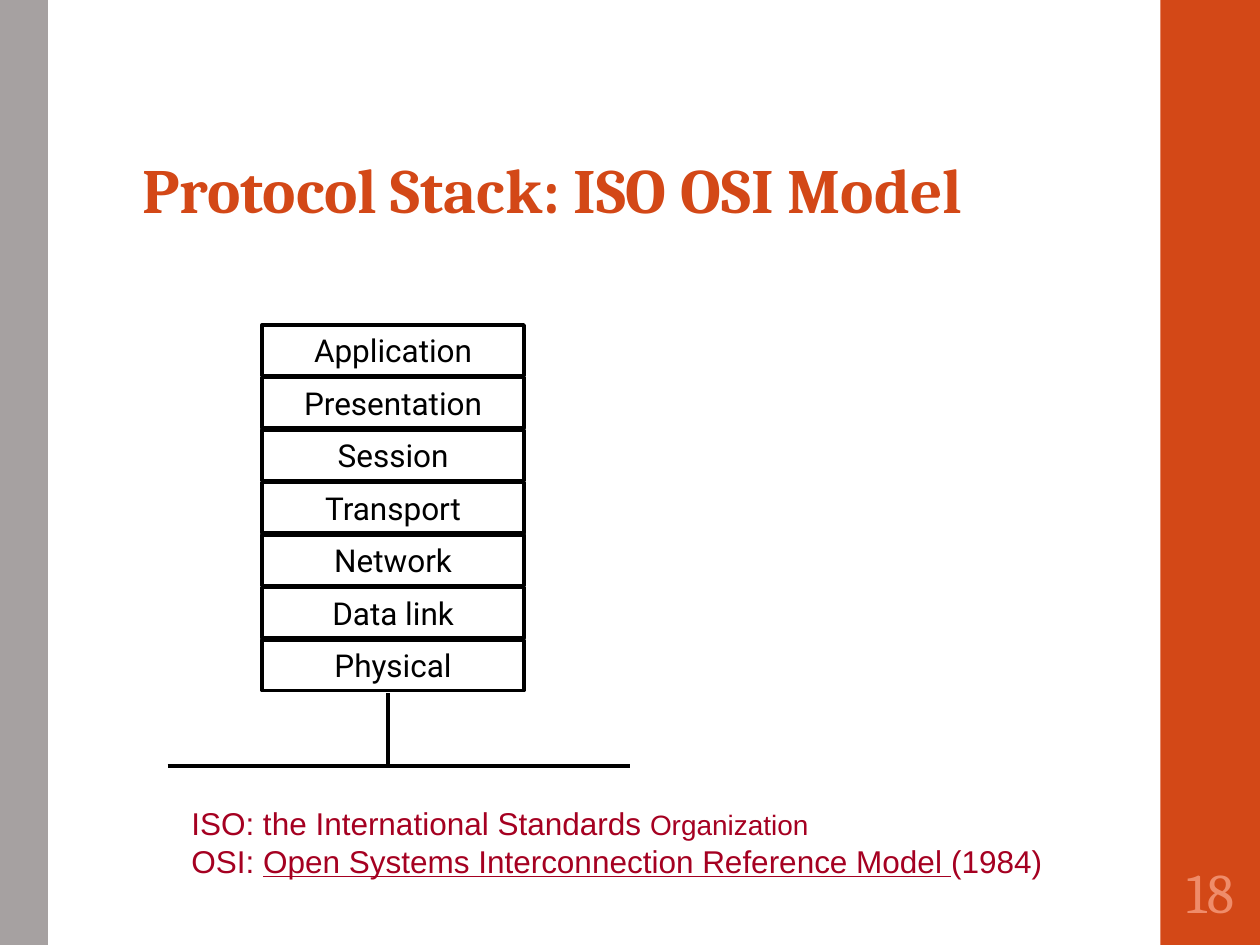
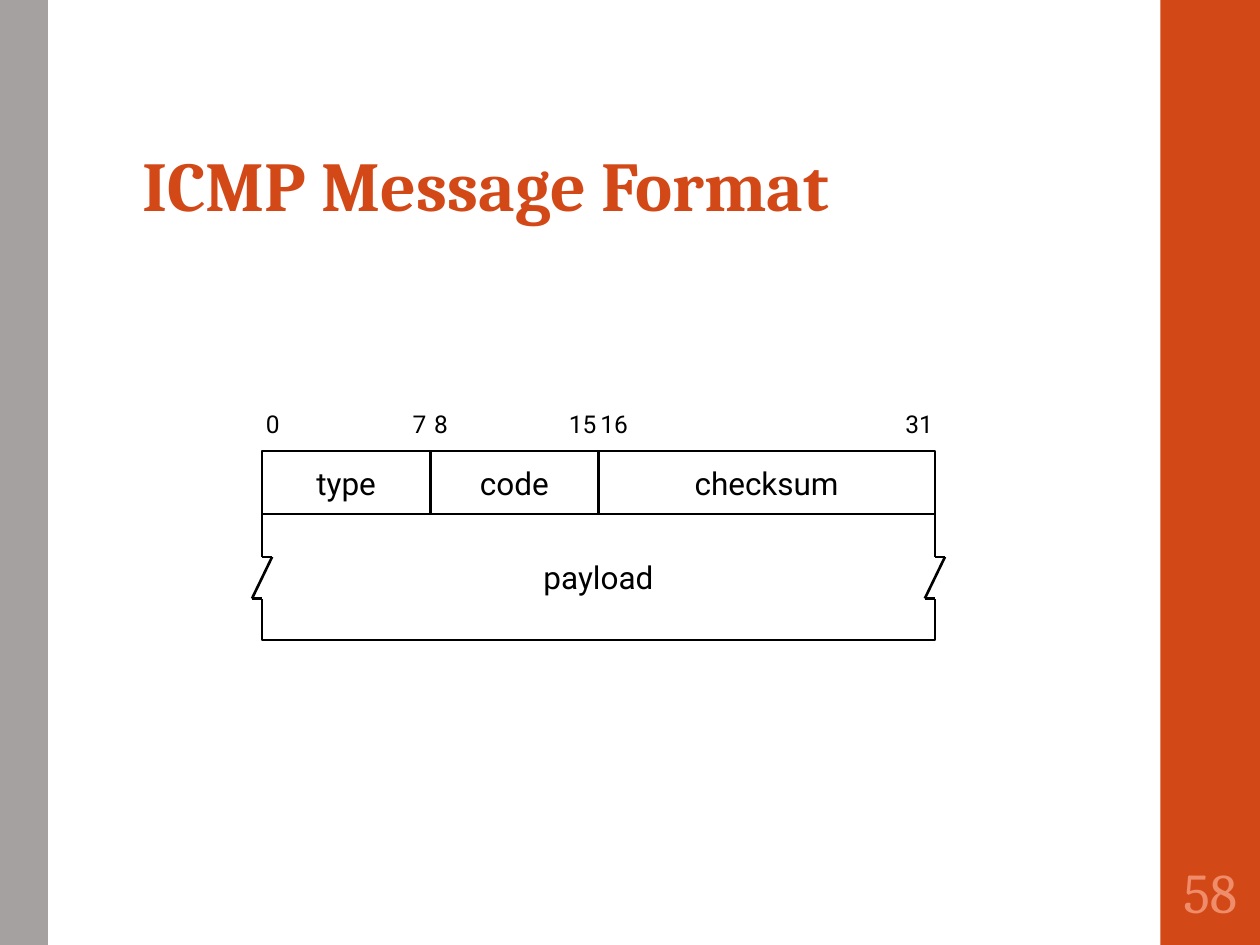
import pptx
import pptx.util
import pptx.dml.color
import pptx.enum.shapes
import pptx.enum.text
import pptx.oxml

Inches = pptx.util.Inches
Pt = pptx.util.Pt
ALIGN = pptx.enum.text.PP_ALIGN
ANCHOR = pptx.enum.text.MSO_ANCHOR
RECT = pptx.enum.shapes.MSO_SHAPE.RECTANGLE
STRAIGHT = pptx.enum.shapes.MSO_CONNECTOR.STRAIGHT

ORANGE, GRAY, BLACK, WHITE = "D34817", "A6A1A1", "000000", "FFFFFF"
DARK_RED, PALE_ORANGE = "A50021", "EF8C6A"

BANDS = [((9.21, 0, 0.8, 7.5), ORANGE), ((0, 0, 0.38, 7.5), GRAY)]
TITLE_FONT = {"name": "Cambria", "bold": True, "color": ORANGE}
NUMBER_FONT = {"name": "Cambria", "size": Pt(32), "color": PALE_ORANGE}
LABEL_FONT = {"name": "Roboto", "size": Pt(18), "color": BLACK}
BIT_FONT = {"name": "Roboto", "size": Pt(14), "color": BLACK}
NOTE_FONT = {"name": "Arial", "size": Pt(18), "color": DARK_RED}

LAYERS = ["Application", "Presentation", "Session", "Transport",
          "Network", "Data link", "Physical"]
STACK_LEFT, STACK_TOP, LAYER_W, LAYER_H, LAYER_PITCH = 2.08, 2.58, 2.08, 0.4, 5 / 12
CABLES = [((3.08, 5.5), (3.08, 6.08)), ((1.33, 6.08), (5, 6.08))]
NOTES = [
    [("ISO: the International Standards ", {}), ("Organization", {"size": Pt(16)})],
    [("OSI: ", {}),
     ("Open Systems Interconnection Reference Model ", {"underline": True}),
     ("(1984)", {})],
]

FIELDS = [("type", 0, 7), ("code", 8, 15), ("checksum", 16, 31)]
HEADER_LEFT, HEADER_TOP, HEADER_W, HEADER_H = 2.08, 3.58, 5.34, 0.5
PAYLOAD_H, BITS_TOP, BITS_H = 1, 3.25, 0.23
BREAK_TOP, BREAK_BOTTOM, BREAK_OUT = 4.42, 4.75, 0.08


def rgb(value):
    return pptx.dml.color.RGBColor.from_string(value)


def set_font(font, formats):
    for key, value in formats.items():
        if key == "color":
            font.color.rgb = rgb(value)
        else:
            setattr(font, key, value)


def write(sp, paragraphs, font, align=ALIGN.LEFT, anchor=ANCHOR.TOP,
          inset=(0.1, 0.05), wrap=True, spacing=None):
    tf = sp.text_frame
    x, y = map(Inches, inset)
    frame = {"margin_left": x, "margin_right": x, "margin_top": y,
             "margin_bottom": y, "vertical_anchor": anchor, "word_wrap": wrap}
    for key, value in frame.items():
        setattr(tf, key, value)
    for i, runs in enumerate(paragraphs):
        p = tf.add_paragraph() if i else tf.paragraphs[0]
        p.alignment = align
        if spacing:
            p.line_spacing = spacing
        for text, extra in runs:
            r = p.add_run()
            r.text = text
            set_font(r.font, {**font, **extra})


def add_text(s, box, text, font, **layout):
    sp = s.shapes.add_textbox(*map(Inches, box))
    write(sp, [[(text, {})]], font, **layout)


def add_rect(s, box, fill=None, line=None):
    sp = s.shapes.add_shape(RECT, *map(Inches, box))
    sp.shadow.inherit = False
    if fill:
        sp.fill.solid()
        sp.fill.fore_color.rgb = rgb(fill)
    else:
        sp.fill.background()
    if line:
        sp.line.color.rgb = rgb(BLACK)
        sp.line.width = Pt(line)
    else:
        sp.line.fill.background()
    return sp


def add_box(s, box, text, line, **layout):
    sp = add_rect(s, box, line=line)
    write(sp, [[(text, {})]], LABEL_FONT, align=ALIGN.CENTER, **layout)


def add_line(s, start, end, width, color=BLACK):
    c = s.shapes.add_connector(STRAIGHT, *map(Inches, start + end))
    c.line.color.rgb = rgb(color)
    c.line.width = Pt(width)
    c._element.spPr.append(pptx.oxml.parse_xml(
        '<a:effectLst xmlns:a="http://schemas.openxmlformats.org/drawingml/2006/main"/>'))


def new_slide(prs, title, size, number):
    s = prs.slides.add_slide(prs.slide_layouts[6])
    for box, color in BANDS:
        add_rect(s, box, fill=color)
    add_text(s, (1.03, 0.4, 7.95, 1.45), title, {**TITLE_FONT, "size": Pt(size)},
             anchor=ANCHOR.BOTTOM, spacing=0.9)
    add_text(s, (9.23, 6.75, 0.75, 0.65), number, NUMBER_FONT,
             align=ALIGN.CENTER, anchor=ANCHOR.MIDDLE, inset=(0.03, 0.05))
    return s


def osi_slide(prs):
    s = new_slide(prs, "Protocol Stack: ISO OSI Model", 36, "18")
    for i, layer in enumerate(LAYERS):
        top = STACK_TOP + i * LAYER_PITCH
        add_box(s, (STACK_LEFT, top, LAYER_W, LAYER_H), layer, 2)
    for start, end in CABLES:
        add_line(s, start, end, 2)
    sp = s.shapes.add_textbox(*map(Inches, (1.42, 6.33, 6.95, 0.7)))
    write(sp, NOTES, NOTE_FONT, wrap=False)


def add_break(s, x):
    upper, lower = (x + BREAK_OUT, BREAK_TOP), (x - BREAK_OUT, BREAK_BOTTOM)
    add_line(s, (x, BREAK_TOP), (x, BREAK_BOTTOM), 2, WHITE)
    add_line(s, (x, BREAK_TOP), upper, 1.5)
    add_line(s, lower, (x, BREAK_BOTTOM), 1.5)
    add_line(s, upper, lower, 1.5)


def icmp_slide(prs):
    s = new_slide(prs, "ICMP Message Format", 40, "58")
    bit_w = HEADER_W / 32
    middle = {"anchor": ANCHOR.MIDDLE, "wrap": False}
    for name, first, last in FIELDS:
        left = HEADER_LEFT + first * bit_w
        right = HEADER_LEFT + (last + 1) * bit_w
        add_box(s, (left, HEADER_TOP, right - left, HEADER_H), name, 1.5, **middle)
        for bit in (first, last):
            w = 0.17 if bit < 10 else 0.25
            x = left if bit == first else right - w
            add_text(s, (x, BITS_TOP, w, BITS_H), str(bit), BIT_FONT,
                     align=ALIGN.CENTER, inset=(0, 0))
    add_box(s, (HEADER_LEFT, HEADER_TOP + HEADER_H, HEADER_W, PAYLOAD_H),
            "payload", 1.5, **middle)
    for x in (HEADER_LEFT, HEADER_LEFT + HEADER_W):
        add_break(s, x)


def main():
    prs = pptx.Presentation()
    prs.slide_width, prs.slide_height = Inches(10), Inches(7.5)
    osi_slide(prs)
    icmp_slide(prs)
    prs.save("out.pptx")


if __name__ == "__main__":
    main()
